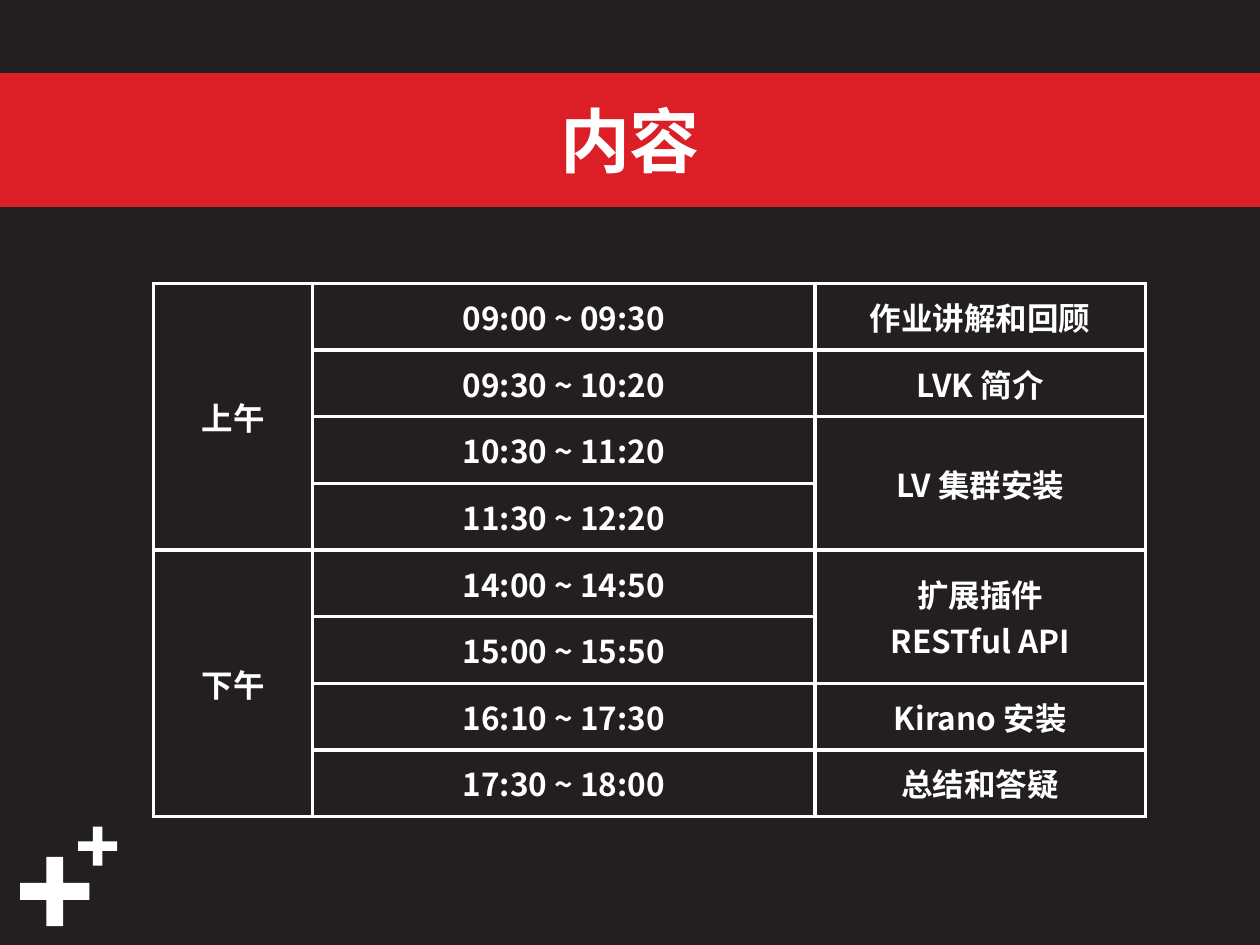
from dataclasses import dataclass

from lxml.etree import SubElement
from pptx import Presentation
from pptx.dml.color import RGBColor as Rgb
from pptx.enum.shapes import MSO_SHAPE as Kind
from pptx.enum.text import MSO_ANCHOR as Anchor, MSO_AUTO_SIZE as Fit, PP_ALIGN as Align
from pptx.oxml import parse_xml
from pptx.oxml.ns import nsdecls, qn
from pptx.util import Inches, Pt


@dataclass(frozen=True)
class Theme:
    font: str = "Noto Sans CJK SC"
    back: str = "231F20"
    band: str = "DC1F26"
    ink: str = "FFFFFF"
    head: float = 40
    body: float = 18
    edge: float = 3
    rule: float = 2.25


class Deck:
    """Holds the theme and the current slide."""

    def __init__(self, theme):
        self.theme = theme
        self.file = Presentation()
        self.file.slide_width = Inches(10)
        self.file.slide_height = Inches(7.5)
        self.slide = self.file.slides.add_slide(self.file.slide_layouts[5])
        self.paint(self.slide.background.fill, theme.back)

    def paint(self, fill, tone):
        fill.solid()
        fill.fore_color.rgb = Rgb.from_string(tone)

    def label(self, frame, text, size):
        """Put centred bold text in a frame, one paragraph per line."""
        for i, line in enumerate(text.split("\n")):
            para = frame.add_paragraph() if i else frame.paragraphs[0]
            para.alignment = Align.CENTER
            run = para.add_run()
            run.text = line
            font = run.font
            font.name, font.size, font.bold = self.theme.font, Pt(size), True
            font.color.rgb = Rgb.from_string(self.theme.ink)
            # East Asian glyphs take their own typeface
            SubElement(font._element, qn("a:ea"), typeface=self.theme.font)

    def title(self, text, box):
        head = self.slide.shapes.title
        head.left, head.top, head.width, head.height = map(Inches, box)
        self.paint(head.fill, self.theme.band)
        self.paint(head.line.fill, self.theme.band)
        head.line.width = Pt(self.theme.edge)
        frame = head.text_frame
        frame.auto_size = Fit.NONE
        frame.vertical_anchor = Anchor.MIDDLE
        self.label(frame, text, self.theme.head)

    def plus(self, left, top, size):
        mark = self.slide.shapes.add_shape(
            Kind.CROSS, Inches(left), Inches(top), Inches(size), Inches(size))
        mark.adjustments[0] = 0.378
        mark.shadow.inherit = False
        self.paint(mark.fill, self.theme.ink)
        mark.line.fill.background()

    def border(self, cell):
        props = cell._tc.get_or_add_tcPr()
        for i, side in enumerate("LRTB"):
            props.insert(i, parse_xml(
                f'<a:ln{side} {nsdecls("a")} w="{Pt(self.theme.rule)}">'
                f'<a:solidFill><a:srgbClr val="{self.theme.ink}"/></a:solidFill>'
                f'</a:ln{side}>'))

    def table(self, left, top, cols, high, data):
        """Build a grid; each data column lists (text, row span) pairs."""
        count = sum(span for _, span in data[0])
        grid = self.slide.shapes.add_table(
            count, len(cols), Inches(left), Inches(top),
            Inches(sum(cols)), Inches(high)).table
        grid.first_row = grid.horz_banding = False
        for col, width in zip(grid.columns, cols):
            col.width = Inches(width)
        for row in grid.rows:
            row.height = Inches(high / count)
        for cell in grid.iter_cells():
            cell.fill.background()
            cell.vertical_anchor = Anchor.MIDDLE
            self.border(cell)
        for c, items in enumerate(data):
            r = 0
            for text, span in items:
                cell = grid.cell(r, c)
                if span > 1:
                    cell.merge(grid.cell(r + span - 1, c))
                self.label(cell.text_frame, text, self.theme.body)
                r += span


def main():
    deck = Deck(Theme())

    # Corner marks
    deck.plus(0.16, 6.8, 0.55)
    deck.plus(0.62, 6.56, 0.31)

    # Title band
    deck.title("内容", (0, 0.6, 10, 1.02))

    # Timetable: half day, hours, topic
    halves = [("上午", 4), ("下午", 4)]
    hours = [(f"{start} ~ {end}", 1) for start, end in (
        ("09:00", "09:30"), ("09:30", "10:20"),
        ("10:30", "11:20"), ("11:30", "12:20"),
        ("14:00", "14:50"), ("15:00", "15:50"),
        ("16:10", "17:30"), ("17:30", "18:00"))]
    topics = [("作业讲解和回顾", 1), ("LVK 简介", 1), ("LV 集群安装", 2),
              ("扩展插件\nRESTful API", 2), ("Kirano 安装", 1), ("总结和答疑", 1)]
    deck.table(1.22, 2.25, (1.26, 3.99, 2.62), 4.23, (halves, hours, topics))

    deck.file.save("out.pptx")


if __name__ == "__main__":
    main()
